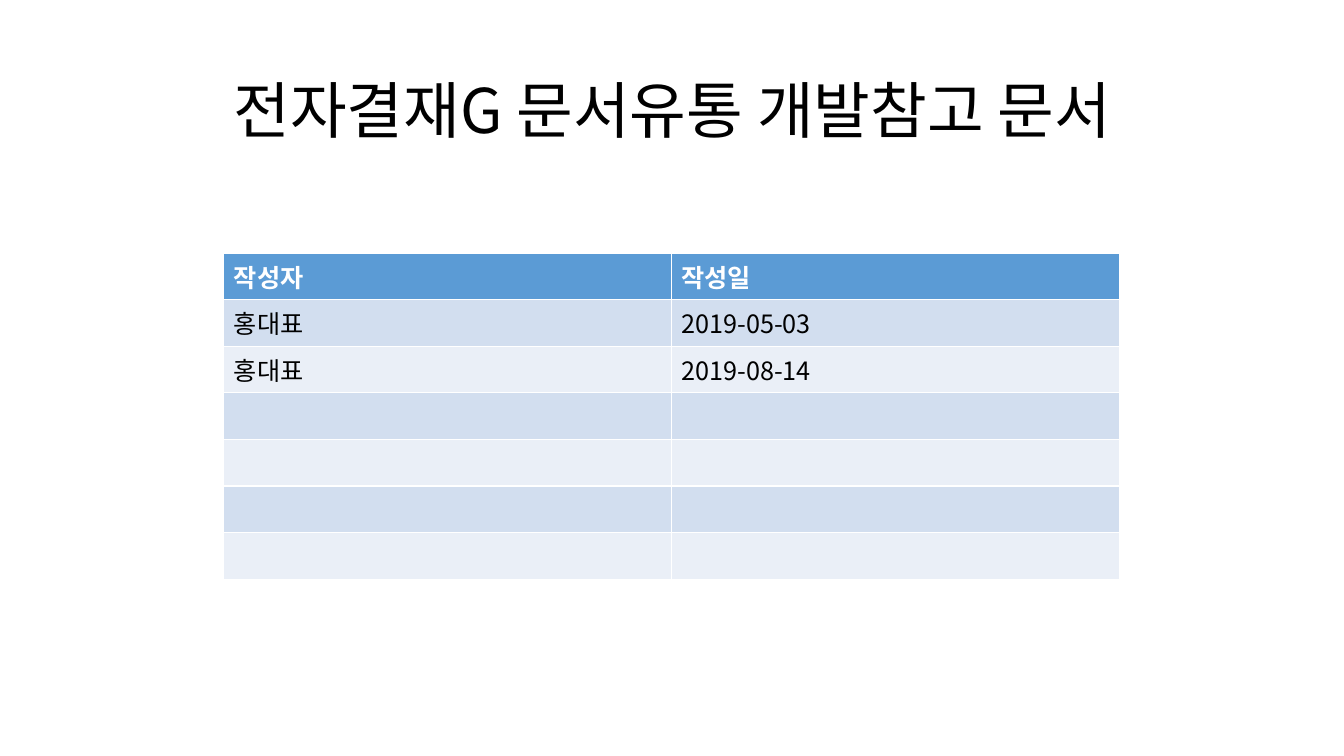
from pptx import Presentation
from pptx.dml.color import RGBColor
from pptx.enum.text import MSO_ANCHOR, PP_ALIGN
from pptx.oxml.ns import qn
from pptx.util import Inches, Pt
from lxml.etree import SubElement

TITLE = "전자결재G 문서유통 개발참고 문서"
HEADINGS = ("작성자", "작성일")
REVISIONS = [("홍대표", "2019-05-03"), ("홍대표", "2019-08-14")]
BLANK_ROWS = 4

FONT = "Noto Sans CJK KR"
BLACK = RGBColor(0x00, 0x00, 0x00)
WHITE = RGBColor(0xFF, 0xFF, 0xFF)
HEADER_BLUE = RGBColor(0x5B, 0x9B, 0xD5)
BANDS = (RGBColor(0xEA, 0xEF, 0xF7), RGBColor(0xD2, 0xDE, 0xEF))

COLUMN_WIDTH = Inches(4.44)
ROW_HEIGHT = Inches(0.41)


def set_font(paragraph, size, color, bold=False):
    """Format a paragraph, with the same typeface for Latin and Korean."""
    font = paragraph.font
    font.name = FONT
    font.size = Pt(size)
    font.bold = bold
    font.color.rgb = color
    defaults = paragraph._p.pPr.find(qn("a:defRPr"))
    SubElement(defaults, qn("a:ea")).set("typeface", FONT)


def add_title(slide):
    """Place the centred slide title."""
    title = slide.shapes.title
    title.left, title.top = Inches(0.92), Inches(0.4)
    title.width, title.height = Inches(11.5), Inches(1.45)
    title.text_frame.text = TITLE
    title.text_frame.vertical_anchor = MSO_ANCHOR.MIDDLE
    heading = title.text_frame.paragraphs[0]
    heading.alignment = PP_ALIGN.CENTER
    heading.line_spacing = 0.9
    set_font(heading, 44, BLACK)


def add_revision_table(slide):
    """Fill the revision history, one row per entry and spare rows below."""
    blank = ("",) * len(HEADINGS)
    entries = [HEADINGS, *REVISIONS, *[blank] * BLANK_ROWS]
    history = slide.shapes.add_table(
        len(entries), len(HEADINGS), Inches(2.22), Inches(2.51),
        COLUMN_WIDTH * len(HEADINGS), ROW_HEIGHT * len(entries)).table
    for column in history.columns:
        column.width = COLUMN_WIDTH
    for number, entry in enumerate(entries):
        history.rows[number].height = ROW_HEIGHT
        is_header = number == 0
        for cell, wording in zip(history.rows[number].cells, entry):
            cell.fill.solid()
            cell.fill.fore_color.rgb = HEADER_BLUE if is_header else BANDS[number % 2]
            if wording:
                cell.text = wording
            set_font(cell.text_frame.paragraphs[0], 18,
                     WHITE if is_header else BLACK, is_header)


def main():
    """Build the cover slide and save it."""
    deck = Presentation()
    deck.slide_width, deck.slide_height = Inches(13.33), Inches(7.5)
    slide = deck.slides.add_slide(deck.slide_layouts[5])
    add_title(slide)
    add_revision_table(slide)
    deck.save("out.pptx")


if __name__ == "__main__":
    main()
